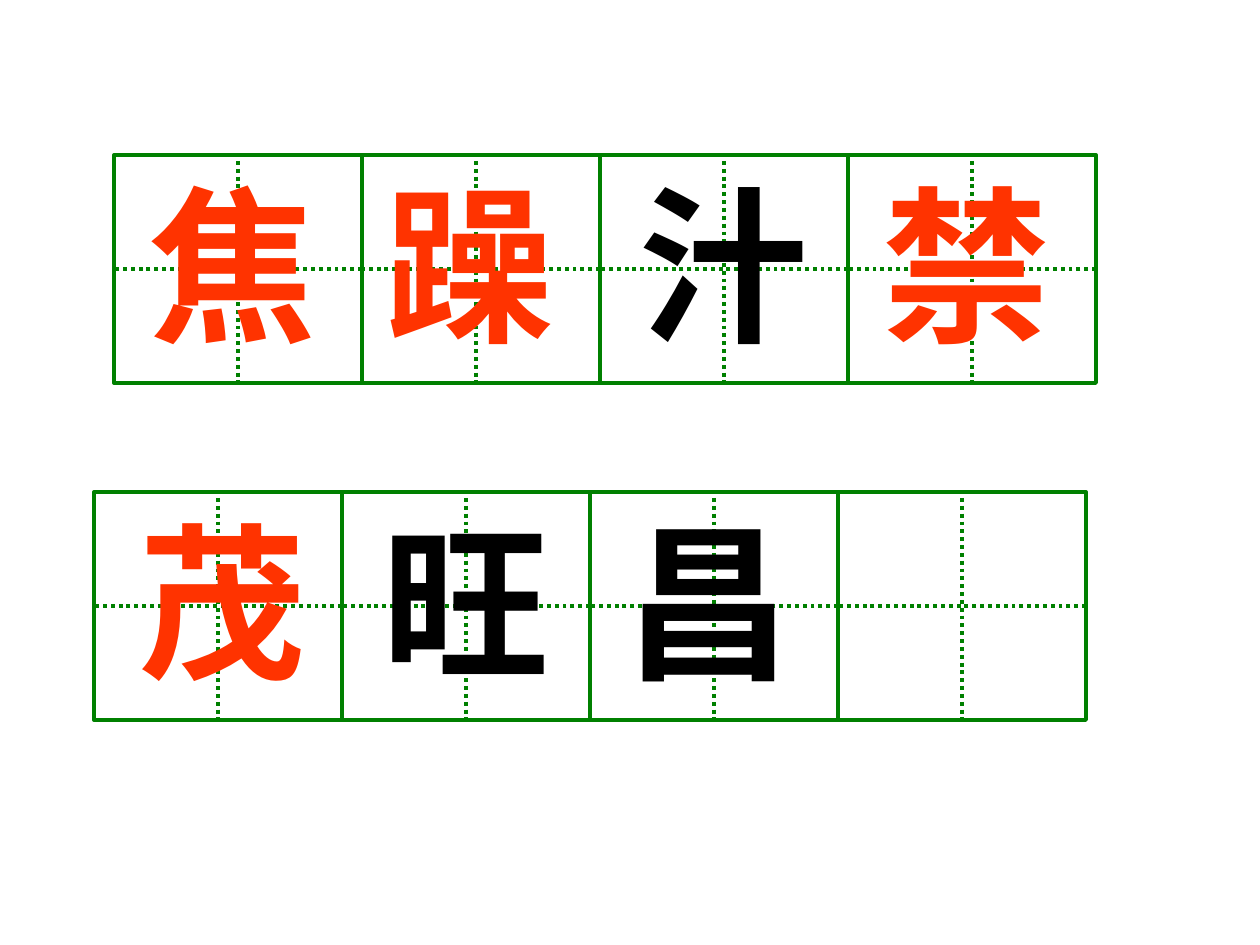
from lxml.etree import SubElement
from pptx import Presentation
from pptx.dml.color import RGBColor
from pptx.enum.dml import MSO_LINE
from pptx.enum.shapes import MSO_CONNECTOR, MSO_SHAPE
from pptx.enum.text import MSO_ANCHOR, MSO_AUTO_SIZE, PP_ALIGN
from pptx.oxml.ns import qn
from pptx.util import Pt

SCALE = 914400 / 126
GREEN = RGBColor(0x00, 0x80, 0x00)
WHITE = RGBColor(0xFF, 0xFF, 0xFF)
RED = RGBColor(0xFF, 0x33, 0x00)
BLACK = RGBColor(0x00, 0x00, 0x00)
WIDE, HIGH = 248, 228
TOP_ROW, LOW_ROW = 155, 492
TOP_COLS = [848, 600, 352, 114]
LOW_COLS = [590, 342, 94, 838]
WORDS = [
    ("焦", 114, TOP_ROW, 238, RED),
    ("躁", 352, TOP_ROW, 238, RED),
    ("汁", 600, TOP_ROW, 248, BLACK),
    ("禁", 848, TOP_ROW, 238, RED),
    ("茂", 94, LOW_ROW, 258, RED),
    ("旺", 342, LOW_ROW, 248, BLACK),
    ("昌", 590, LOW_ROW, 238, BLACK),
]


def px(*sizes):
    return [round(size * SCALE) for size in sizes]


def add_dots(group, *ends):
    line = group.shapes.add_connector(MSO_CONNECTOR.STRAIGHT, *px(*ends))
    line.line.color.rgb = GREEN
    line.line.width = Pt(2.25)
    line.line.dash_style = MSO_LINE.ROUND_DOT
    SubElement(line._element.spPr, qn("a:effectLst"))
    return line


def add_cell(slide, left, top):
    group = slide.shapes.add_group_shape()
    box = group.shapes.add_shape(MSO_SHAPE.RECTANGLE, *px(left, top, WIDE, HIGH))
    box.shadow.inherit = False
    box.fill.solid()
    box.fill.fore_color.rgb = WHITE
    box.line.color.rgb = GREEN
    box.line.width = Pt(2.25)
    mid_x, mid_y = left + WIDE // 2, top + HIGH // 2
    row = add_dots(group, left + WIDE, mid_y, left, mid_y)
    row.begin_connect(box, 3)
    row.end_connect(box, 1)
    col = add_dots(group, mid_x, top + 6, mid_x, top + HIGH)
    col.end_connect(box, 2)


def add_text(slide, text, left, top, width, height=214, size=96, color=BLACK,
             bold=True, font="Arial", align=PP_ALIGN.CENTER):
    frame = slide.shapes.add_textbox(*px(left, top, width, height)).text_frame
    frame.word_wrap = True
    frame.auto_size = MSO_AUTO_SIZE.SHAPE_TO_FIT_TEXT
    frame.vertical_anchor = MSO_ANCHOR.TOP
    para = frame.paragraphs[0]
    para.alignment = align
    run = para.add_run()
    run.text = text
    run.font.name = font
    run.font.size = Pt(size)
    run.font.bold = bold
    run.font.color.rgb = color


def main():
    deck = Presentation()
    deck.slide_width, deck.slide_height = px(1260, 945)
    slide = deck.slides.add_slide(deck.slide_layouts[6])
    for top, cols in ((TOP_ROW, TOP_COLS), (LOW_ROW, LOW_COLS)):
        for left in cols:
            add_cell(slide, left, top)
    for text, left, top, width, color in WORDS:
        add_text(slide, text, left, top, width, color=color)
    deck.save("out.pptx")


if __name__ == "__main__":
    main()
